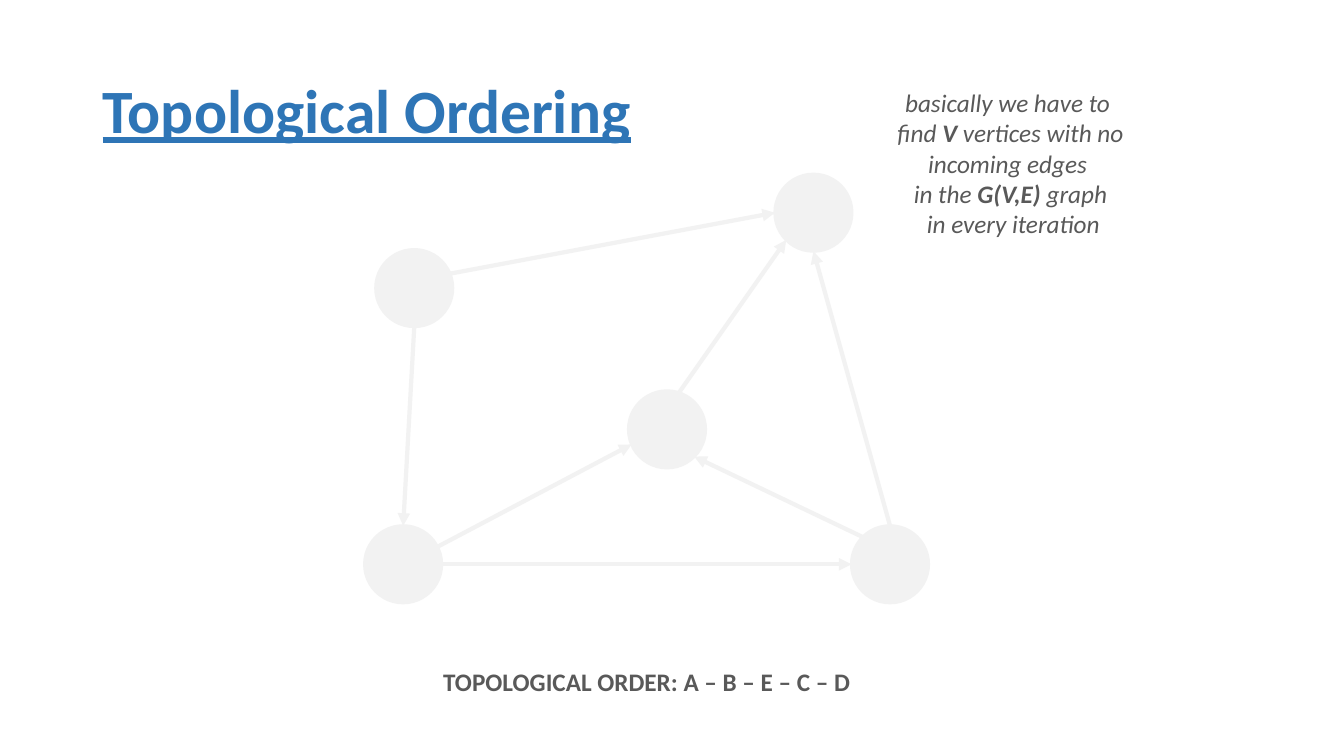
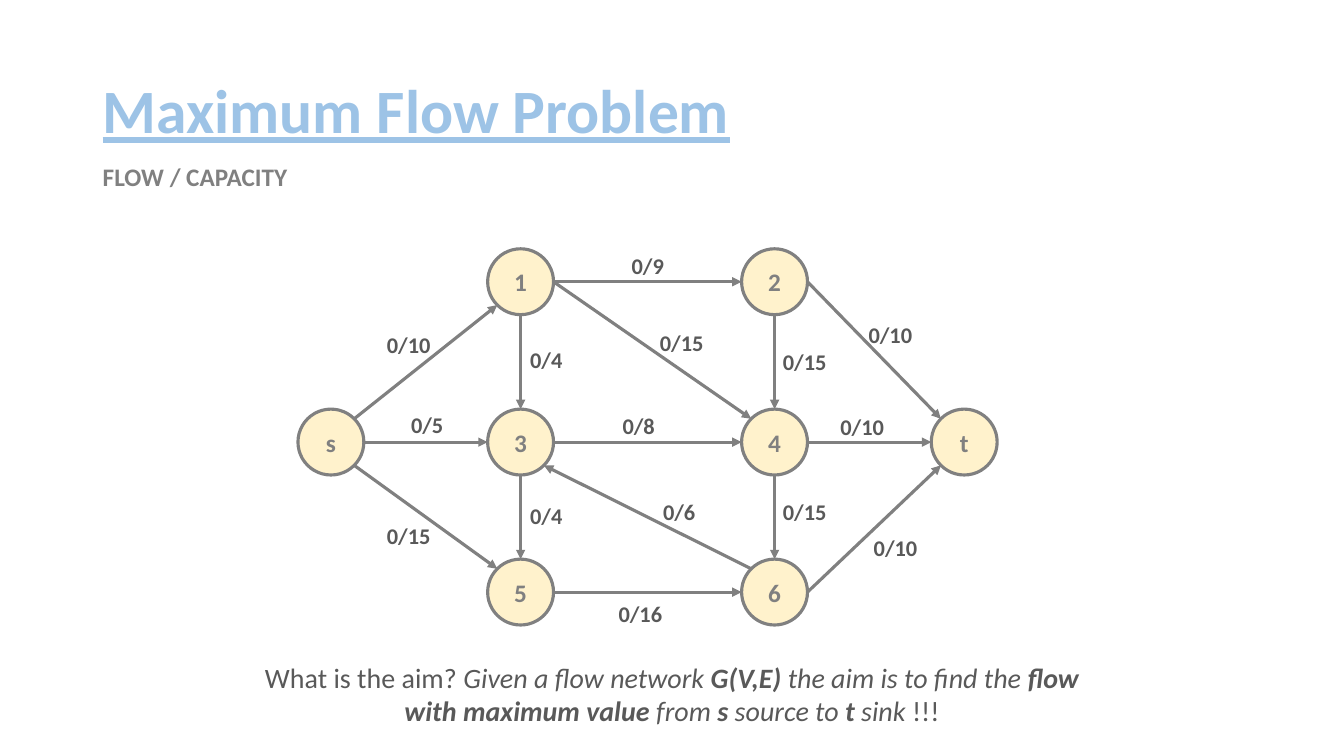
import math
from dataclasses import dataclass

import lxml.etree
import pptx
import pptx.dml.color
import pptx.enum.shapes
import pptx.enum.text
import pptx.oxml.ns
import pptx.util

Cm, Pt = pptx.util.Cm, pptx.util.Pt
qn = pptx.oxml.ns.qn
ALIGN = pptx.enum.text.PP_ALIGN

FONT = "Calibri"
HUES = {
    "blue": "2E75B6",
    "sky": "9DC3E6",
    "pale": "F2F2F2",
    "cream": "FFF2CC",
    "gray": "808080",
    "text": "595959",
}


@dataclass
class Node:
    """A circle, placed by its centre in cm."""
    x: float
    y: float
    text: str = ""


@dataclass
class Edge:
    """An arrow; each end is an angle on its circle, clockwise from the right."""
    start: str
    out: int
    end: str
    into: int
    label: str = ""
    left: float = 0
    top: float = 0


@dataclass
class Look:
    """How a graph is drawn."""
    radius: float
    fill: str
    line: str
    width: float


@dataclass
class Piece:
    """A run of text; style holds b, i and u as needed."""
    text: str
    style: str = ""


def color(name: str) -> pptx.dml.color.RGBColor:
    return pptx.dml.color.RGBColor.from_string(HUES[name])


def set_font(font, size: float, hue: str, style: str = "") -> None:
    font.name, font.size = FONT, Pt(size)
    font.color.rgb = color(hue)
    font.bold = "b" in style
    font.italic = "i" in style
    font.underline = "u" in style


def add_text(slide, box: tuple, lines: list[list[Piece]], size: float,
             hue: str, align=ALIGN.LEFT):
    shape = slide.shapes.add_textbox(*map(Cm, box))
    frame = shape.text_frame
    frame.word_wrap = False
    frame.auto_size = pptx.enum.text.MSO_AUTO_SIZE.SHAPE_TO_FIT_TEXT
    for i, line in enumerate(lines):
        para = frame.add_paragraph() if i else frame.paragraphs[0]
        para.alignment = align
        for piece in line:
            run = para.add_run()
            run.text = piece.text
            set_font(run.font, size, hue, piece.style)
    return frame


def add_title(slide, text: str, hue: str) -> None:
    frame = add_text(slide, (2.34, 1.02, 29.21, 3.68), [[Piece(text, "bu")]], 44, hue)
    frame.word_wrap = True
    frame.auto_size = pptx.enum.text.MSO_AUTO_SIZE.NONE
    frame.vertical_anchor = pptx.enum.text.MSO_ANCHOR.MIDDLE
    frame.paragraphs[0].line_spacing = 0.9


def add_node(slide, node: Node, look: Look):
    size = Cm(2 * look.radius)
    shape = slide.shapes.add_shape(
        pptx.enum.shapes.MSO_SHAPE.OVAL,
        Cm(node.x - look.radius), Cm(node.y - look.radius), size, size)
    shape.shadow.inherit = False
    shape.fill.solid()
    shape.fill.fore_color.rgb = color(look.fill)
    shape.line.color.rgb = color(look.line)
    shape.line.width = Pt(2.25)
    if node.text:
        frame = shape.text_frame
        frame.text = node.text
        frame.vertical_anchor = pptx.enum.text.MSO_ANCHOR.MIDDLE
        para = frame.paragraphs[0]
        para.alignment = ALIGN.CENTER
        set_font(para.runs[0].font, 18, look.line, "b")
    return shape


def rim(node: Node, angle: int, radius: float) -> tuple:
    turn = math.radians(angle)
    return (Cm(node.x + radius * math.cos(turn)),
            Cm(node.y + radius * math.sin(turn)))


def add_edge(slide, edge: Edge, nodes: dict, discs: dict, look: Look) -> None:
    line = slide.shapes.add_connector(
        pptx.enum.shapes.MSO_CONNECTOR.STRAIGHT,
        *rim(nodes[edge.start], edge.out, look.radius),
        *rim(nodes[edge.end], edge.into, look.radius))
    line.line.color.rgb = color(look.line)
    line.line.width = Pt(look.width)
    lxml.etree.SubElement(line.line._get_or_add_ln(), qn("a:tailEnd"), type="triangle")
    lxml.etree.SubElement(line._element.spPr, qn("a:effectLst"))
    # An oval has eight joints, counted anticlockwise from the top
    joints = line._element.find(".//" + qn("p:cNvCxnSpPr"))
    for tag, key, angle in (("a:stCxn", edge.start, edge.out),
                            ("a:endCxn", edge.end, edge.into)):
        if angle % 45 == 0:
            lxml.etree.SubElement(joints, qn(tag), id=str(discs[key].shape_id),
                                  idx=str((-90 - angle) // 45 % 8))


def add_graph(slide, nodes: dict[str, Node], edges: list[Edge], look: Look) -> None:
    discs = {key: add_node(slide, node, look) for key, node in nodes.items()}
    for edge in edges:
        add_edge(slide, edge, nodes, discs, look)
    for edge in edges:
        if edge.label:
            wide = 0.51 + 0.28 * len(edge.label)
            add_text(slide, (edge.left, edge.top, wide, 0.94),
                     [[Piece(edge.label, "b")]], 16, "text")


def draw_order(slide) -> None:
    add_title(slide, "Topological Ordering", "blue")
    # Graph
    nodes = {
        "A": Node(10.44, 7.26),
        "B": Node(10.16, 14.22),
        "C": Node(16.81, 10.82),
        "D": Node(20.5, 5.36),
        "E": Node(22.43, 14.22),
    }
    edges = [
        Edge("A", 90, "B", -90),
        Edge("A", -22, "D", 180),
        Edge("E", -135, "C", 45),
        Edge("C", -72, "D", 135),
        Edge("B", -27, "C", 157),
        Edge("B", 0, "E", 180),
        Edge("E", -90, "D", 90),
    ]
    add_graph(slide, nodes, edges, Look(0.97, "pale", "pale", 3))
    # Remark and result
    add_text(slide, (22.33, 2.08, 6.27, 4.11), [
        [Piece("basically we have to ", "i")],
        [Piece("find ", "i"), Piece("V", "bi"), Piece(" vertices with no", "i")],
        [Piece("incoming edges ", "i")],
        [Piece("in the ", "i"), Piece("G(V,E)", "bi"), Piece(" graph", "i")],
        [Piece(" in every iteration", "i")],
    ], 18, "text", ALIGN.CENTER)
    add_text(slide, (10.92, 16.66, 11.18, 1.02),
             [[Piece("TOPOLOGICAL ORDER: A – B – E – C – D", "b")]], 18, "text")


def draw_flow(slide) -> None:
    add_title(slide, "Maximum Flow Problem", "sky")
    add_text(slide, (2.34, 3.94, 5.21, 1.02), [[Piece("FLOW / CAPACITY", "b")]], 18, "gray")
    # Network on a grid of columns and rows
    cols, rows = (8.34, 13.12, 19.52, 24.3), (7.1, 11.14, 14.92)
    cells = {"s": (0, 1), "1": (1, 0), "2": (2, 0), "3": (1, 1),
             "4": (2, 1), "t": (3, 1), "5": (1, 2), "6": (2, 2)}
    nodes = {key: Node(cols[c], rows[r], key) for key, (c, r) in cells.items()}
    edges = [
        Edge("s", -45, "1", 135, "0/10", 9.5, 8.23),
        Edge("s", 0, "3", 180, "0/5", 10.11, 10.24),
        Edge("s", 45, "5", -135, "0/15", 9.5, 13.03),
        Edge("1", 90, "3", -90, "0/4", 13.11, 8.61),
        Edge("3", 90, "5", -90, "0/4", 13.11, 12.52),
        Edge("5", 0, "6", 180, "0/16", 15.34, 15.01),
        Edge("3", 0, "4", 180, "0/8", 15.44, 10.26),
        Edge("1", 0, "2", 180, "0/9", 15.67, 6.22),
        Edge("1", 0, "4", -135, "0/15", 16.38, 8.18),
        Edge("6", -135, "3", 45, "0/6", 16.46, 12.42),
        Edge("2", 90, "4", -90, "0/15", 19.48, 8.66),
        Edge("4", 90, "6", -90, "0/15", 19.48, 12.42),
        Edge("4", 0, "t", 180, "0/10", 20.93, 10.29),
        Edge("6", 0, "t", 135, "0/10", 21.77, 13.34),
        Edge("2", 0, "t", -135, "0/10", 21.64, 7.98),
    ]
    add_graph(slide, nodes, edges, Look(0.83, "cream", "gray", 2.25))
    # Aim
    add_text(slide, (6.32, 16.51, 21.23, 1.96), [
        [Piece("What is the aim? "), Piece("Given a flow network ", "i"),
         Piece("G(V,E) ", "bi"), Piece("the aim is to find the ", "i"),
         Piece("flow", "bi")],
        [Piece("with maximum value ", "bi"), Piece("from ", "i"), Piece("s ", "bi"),
         Piece("source to ", "i"), Piece("t", "bi"), Piece(" sink", "i"),
         Piece(" !!!")],
    ], 20, "text", ALIGN.CENTER)


def main() -> None:
    deck = pptx.Presentation()
    deck.slide_width, deck.slide_height = Cm(33.87), Cm(19.05)
    for draw in (draw_order, draw_flow):
        draw(deck.slides.add_slide(deck.slide_layouts[6]))
    deck.save("out.pptx")


if __name__ == "__main__":
    main()
